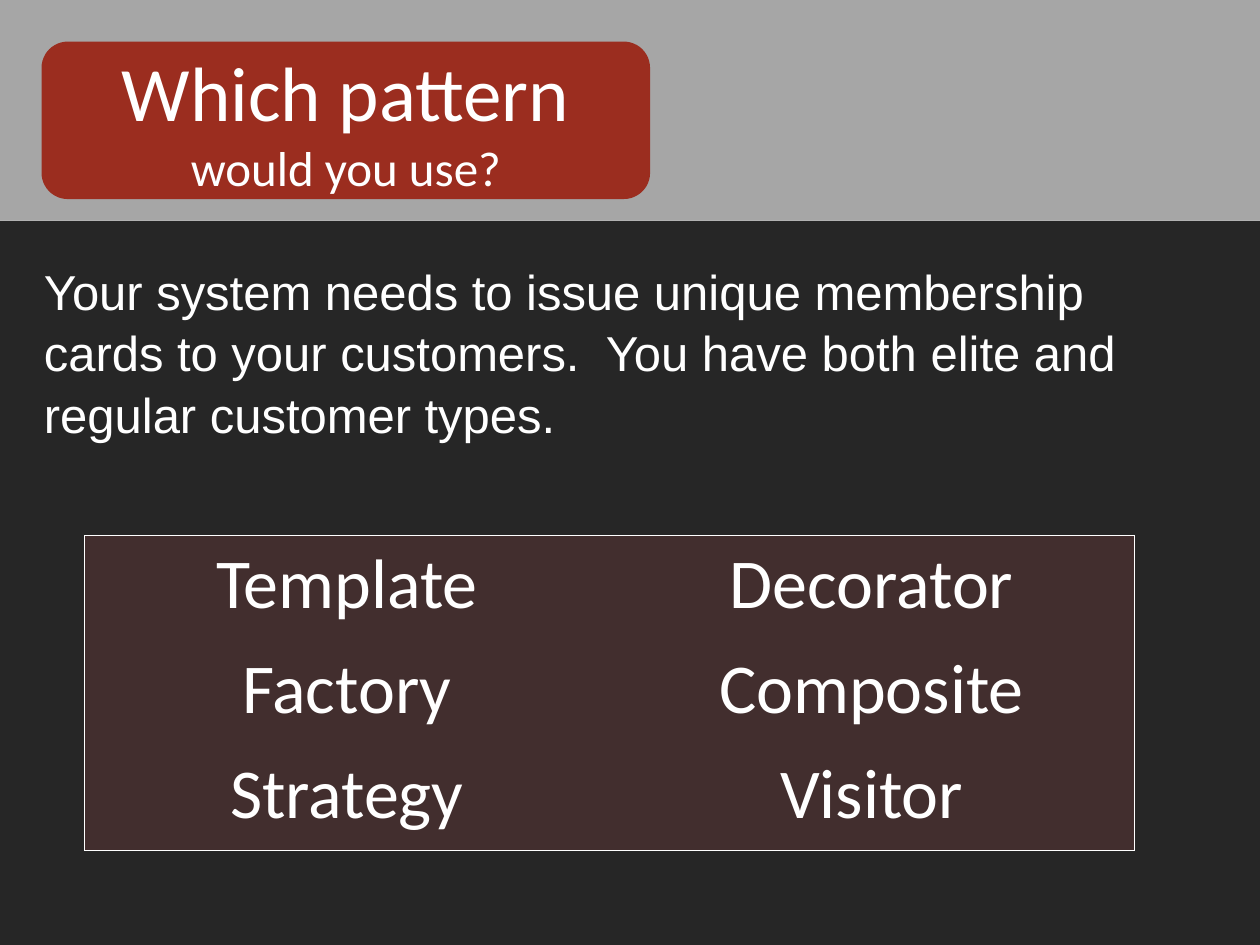
from dataclasses import dataclass

from lxml.etree import SubElement
from pptx import Presentation
from pptx.dml.color import RGBColor as Color
from pptx.enum.shapes import MSO_CONNECTOR as Connector, MSO_SHAPE as Shape
from pptx.enum.text import MSO_ANCHOR as Anchor, PP_ALIGN as Align
from pptx.oxml.ns import qn
from pptx.util import Inches, Pt


@dataclass(frozen=True)
class Theme:
    background: str = "A6A6A6"
    panel: str = "262626"
    accent: str = "9B2D1F"
    cell: str = "422E2E"
    light: str = "FFFFFF"
    heading_font: str = "Calibri"
    body_font: str = "Arial"
    title_size: int = 44
    option_size: int = 40
    body_size: int = 28
    divider: float = 1
    border: float = 0.45


def add_text(para, text, *, size, font, color, align=Align.LEFT):
    para.alignment = align
    span = para.add_run()
    span.text = text
    span.font.size = Pt(size)
    span.font.name = font
    span.font.color.rgb = Color.from_string(color)


def add_border(cell, side, width, color):
    edge = SubElement(cell._tc.get_or_add_tcPr(), qn(f"a:ln{side}"), w=str(Pt(width)))
    fill = SubElement(edge, qn("a:solidFill"))
    SubElement(fill, qn("a:srgbClr"), val=color)


class SlideBuilder:
    def __init__(self, page, theme):
        self.page = page
        self.theme = theme
        fill = page.background.fill
        fill.solid()
        fill.fore_color.rgb = Color.from_string(theme.background)

    def block(self, kind, left, top, width, height, color):
        box = self.page.shapes.add_shape(
            kind, Inches(left), Inches(top), Inches(width), Inches(height))
        box.shadow.inherit = False
        box.fill.solid()
        box.fill.fore_color.rgb = Color.from_string(color)
        box.line.fill.background()
        return box

    def title(self, heading, subheading, left, top, width, height):
        theme = self.theme
        box = self.block(Shape.ROUNDED_RECTANGLE, left, top, width, height, theme.accent)
        box.text_frame.word_wrap = True
        box.text_frame.vertical_anchor = Anchor.MIDDLE
        para = box.text_frame.paragraphs[0]
        look = dict(font=theme.heading_font, color=theme.light, align=Align.CENTER)
        add_text(para, heading, size=theme.title_size, **look)
        para.add_line_break()
        add_text(para, subheading, size=theme.body_size, **look)

    def divider(self, left, right, top):
        line = self.page.shapes.add_connector(
            Connector.STRAIGHT, Inches(left), Inches(top), Inches(right), Inches(top))
        line.line.color.rgb = Color.from_string(self.theme.light)
        line.line.width = Pt(self.theme.divider)
        SubElement(line._element.spPr, qn("a:effectLst"))

    def options(self, rows, left, top, width, height):
        theme = self.theme
        last_row, last_column = len(rows) - 1, len(rows[0]) - 1
        table = self.page.shapes.add_table(
            len(rows), len(rows[0]), Inches(left), Inches(top),
            Inches(width), Inches(height)).table
        table.first_row = table.horz_banding = False
        for r, row in enumerate(rows):
            for c, name in enumerate(row):
                cell = table.cell(r, c)
                add_text(cell.text_frame.paragraphs[0], name, size=theme.option_size,
                         font=theme.heading_font, color=theme.light, align=Align.CENTER)
                # Only the outer edges are ruled; borders precede the fill in the XML
                outer = {"L": c == 0, "R": c == last_column,
                         "T": r == 0, "B": r == last_row}
                for side, ruled in outer.items():
                    add_border(cell, side, theme.border if ruled else 0,
                               theme.light if ruled else theme.cell)
                cell.fill.solid()
                cell.fill.fore_color.rgb = Color.from_string(theme.cell)

    def body(self, text, left, top, width, height):
        theme = self.theme
        box = self.page.shapes.add_textbox(
            Inches(left), Inches(top), Inches(width), Inches(height))
        box.text_frame.word_wrap = True
        para = box.text_frame.paragraphs[0]
        para.line_spacing = 1.05
        add_text(para, text, size=theme.body_size, font=theme.body_font,
                 color=theme.light)


def main():
    deck = Presentation()
    deck.slide_width, deck.slide_height = Inches(10), Inches(7.5)
    theme = Theme()
    slide = SlideBuilder(deck.slides.add_slide(deck.slide_layouts[6]), theme)

    # Header
    slide.title("Which pattern", "would you use?", 0.33, 0.33, 4.83, 1.25)
    slide.divider(0, 10, 1.75)

    # Dark panel with the answer options
    slide.block(Shape.RECTANGLE, 0, 1.75, 10, 5.75, theme.panel)
    slide.options([("Template", "Decorator"),
                   ("Factory", "Composite"),
                   ("Strategy", "Visitor")], 0.67, 4.25, 8.33, 2.5)

    # Question
    slide.body("Your system needs to issue unique membership cards to your customers.  "
               "You have both elite and regular customer types.", 0.25, 2, 9.42, 1.5)

    deck.save("out.pptx")


if __name__ == "__main__":
    main()
